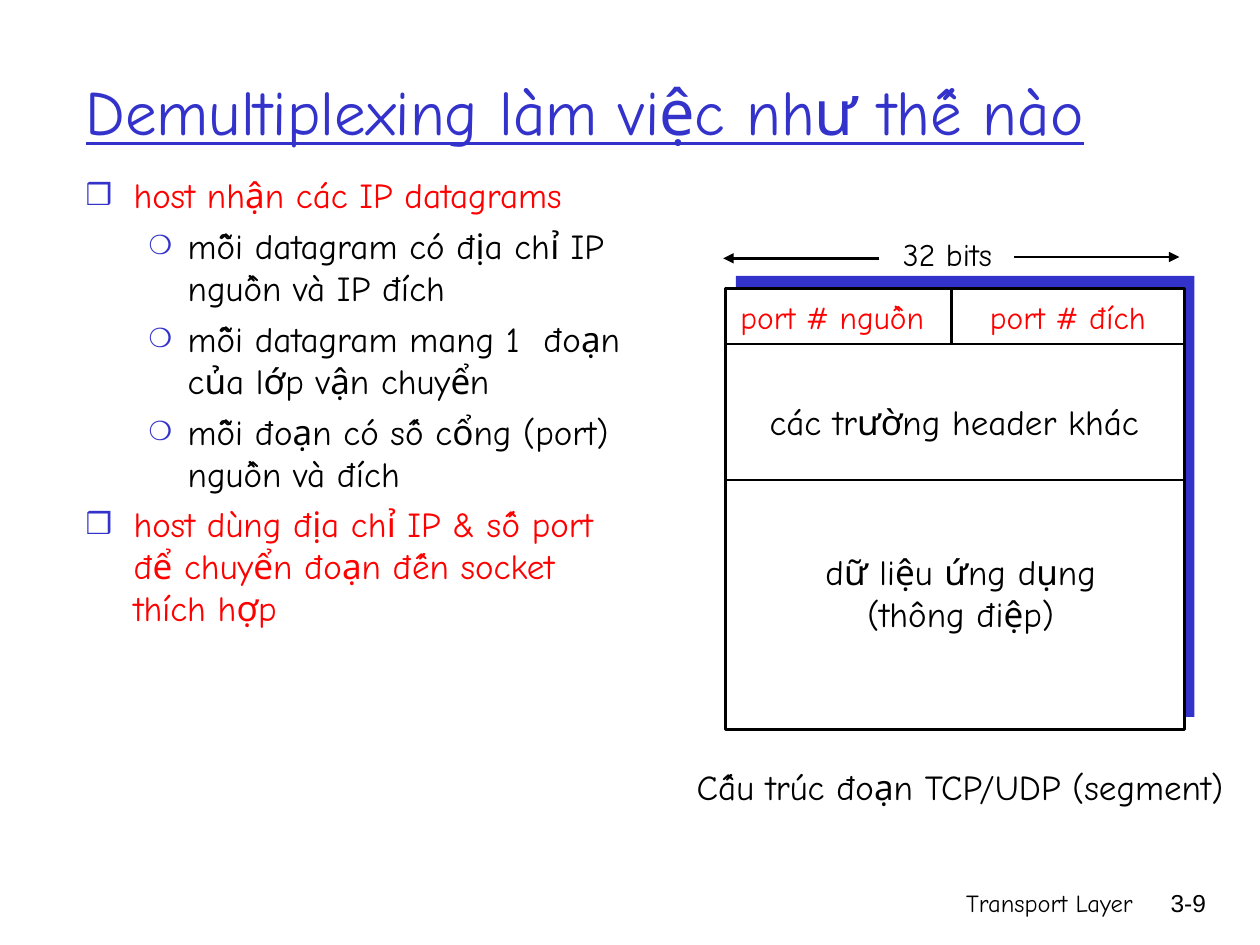
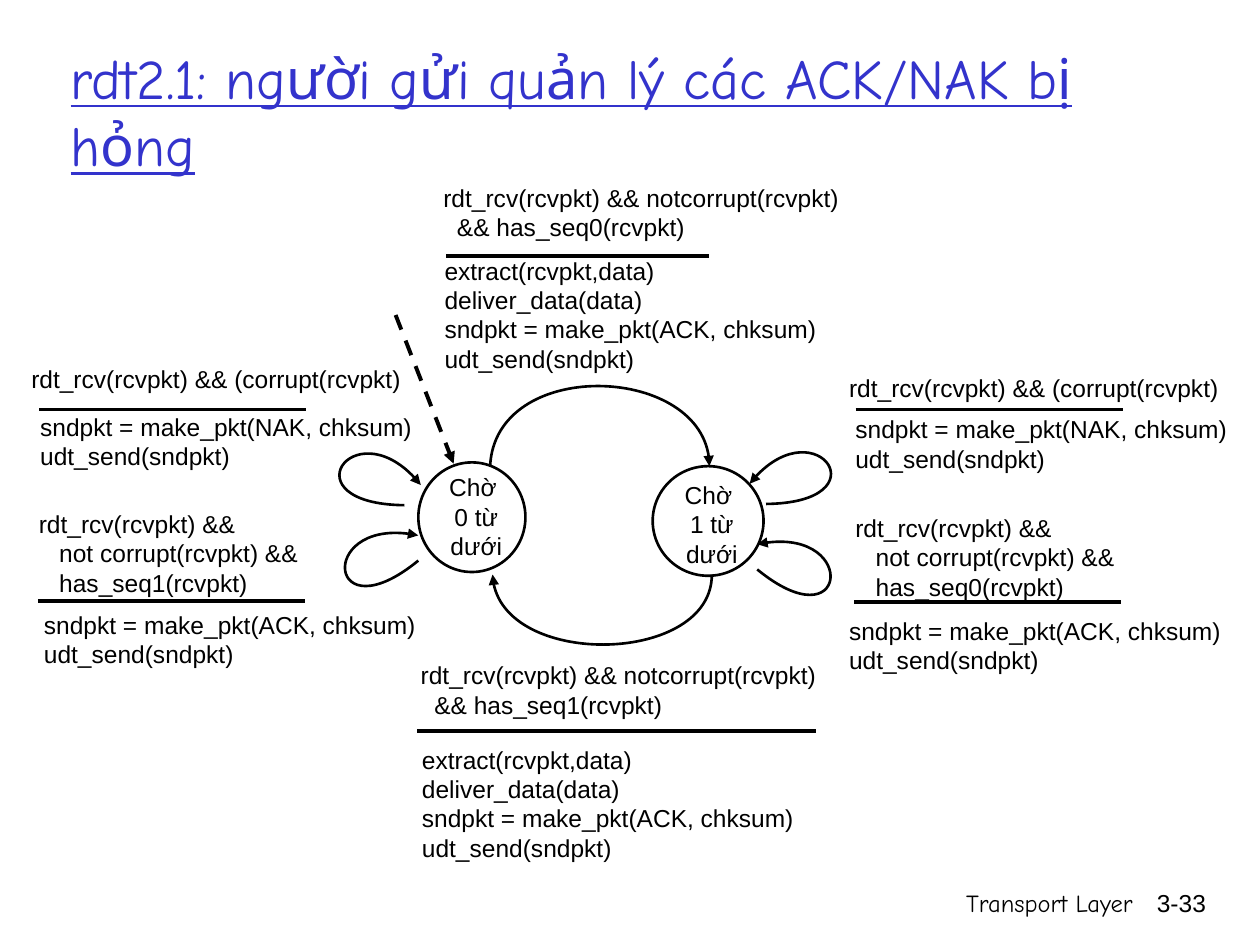
import pptx
import pptx.util
import pptx.dml.color
import pptx.enum.dml
import pptx.enum.shapes
import pptx.enum.text
import pptx.oxml
import pptx.oxml.ns

PX = 9144  # one px is a hundredth of an inch
BLACK = pptx.dml.color.RGBColor(0, 0, 0)
WHITE = pptx.dml.color.RGBColor(255, 255, 255)
BLUE = pptx.dml.color.RGBColor(0x33, 0x33, 0xCC)
RED = pptx.dml.color.RGBColor(255, 0, 0)
HAND_FONT = "Comic Neue"
PLAIN_FONT = "Arial"
THIN, THICK = 1.5, 2.25
ALIGN = pptx.enum.text.PP_ALIGN
ANCHOR = pptx.enum.text.MSO_ANCHOR
AUTO_SIZE = pptx.enum.text.MSO_AUTO_SIZE
PRESET = pptx.enum.shapes.MSO_SHAPE
qn = pptx.oxml.ns.qn

# Level: left margin and hanging indent in px, bullet, bullet size, colour
BULLET_LEVELS = [(38, -38, "❒", 85000, RED), (81, -31, "❍", 75000, BLACK)]

# Loops of a state on the right, as offsets from where they start
UPPER_LOOP = [(0, 0), (93, -1), (38, -80), (-13, -16)]
LOWER_LOOP = [(0, 0), (72, 59), (81, -37), (0, -20)]

NAK_CONDITION = ["rdt_rcv(rcvpkt) && (corrupt(rcvpkt)"]
NAK_ACTION = ["sndpkt = make_pkt(NAK, chksum)", "udt_send(sndpkt)"]
ACK_ACTION = ["sndpkt = make_pkt(ACK, chksum)", "udt_send(sndpkt)"]
DELIVER_ACTION = ["extract(rcvpkt,data)", "deliver_data(data)"] + ACK_ACTION


def repeat_condition(number):
    return ["rdt_rcv(rcvpkt) &&", "   not corrupt(rcvpkt) &&",
            f"   has_seq{number}(rcvpkt)"]


def expected_condition(number):
    return ["rdt_rcv(rcvpkt) && notcorrupt(rcvpkt)",
            f"  && has_seq{number}(rcvpkt)"]


# Rule (left, top, width), condition box and action box relative to it, texts
TRANSITIONS = [
    ((354, 203, 209), (-12, -63, 435, 63), (-11, -5, 380, 77),
     expected_condition(0), DELIVER_ACTION),
    ((331, 580, 317), (-7, -61, 392, 62), (-6, 6, 421, 109),
     expected_condition(1), DELIVER_ACTION),
    ((31, 325, 212), (-16, -41, 314, 67), (-9, -3, 331, 45),
     NAK_CONDITION, NAK_ACTION),
    ((679, 325, 212), (-15, -34, 314, 67), (-10, -1, 331, 45),
     NAK_CONDITION, NAK_ACTION),
    ((30, 477, 212), (-9, -78, 287, 67), (-5, 2, 322, 45),
     repeat_condition(1), ACK_ACTION),
    ((678, 478, 212), (-9, -76, 287, 67), (-14, 6, 322, 45),
     repeat_condition(0), ACK_ACTION),
]


def emu(box):
    return [value * PX for value in box]


def place(shape, box):
    shape.left, shape.top, shape.width, shape.height = emu(box)


def format_text(paragraphs, size, font_name, color, align=ALIGN.LEFT):
    for paragraph in paragraphs:
        paragraph.alignment = align
        for run in paragraph.runs:
            run.font.size = pptx.util.Pt(size)
            run.font.name = font_name
            run.font.color.rgb = color


def add_text(shapes, box, lines, size, font_name, color=BLACK,
             align=ALIGN.LEFT, wrap=True):
    shape = shapes.add_textbox(*emu(box))
    text_frame = shape.text_frame
    text_frame.text = "\n".join(lines)
    text_frame.word_wrap = wrap
    if not wrap:
        # Narrow side margins keep a label on one line in its tight box
        text_frame.margin_left = text_frame.margin_right = 4 * PX
        text_frame.auto_size = AUTO_SIZE.NONE
    format_text(text_frame.paragraphs, size, font_name, color, align)


def add_block(shapes, preset, box, fill, outlined=True):
    shape = shapes.add_shape(preset, *emu(box))
    shape.shadow.inherit = False
    shape.fill.solid()
    shape.fill.fore_color.rgb = fill
    if outlined:
        shape.line.color.rgb = BLACK
        shape.line.width = pptx.util.Pt(THIN)
    else:
        shape.line.fill.background()


def draw_stroke(shape, width, arrow, dashed=False):
    shape.line.color.rgb = BLACK
    shape.line.width = pptx.util.Pt(width)
    if dashed:
        shape.line.dash_style = pptx.enum.dml.MSO_LINE.DASH
    if arrow:
        namespace = pptx.oxml.ns.nsdecls("a")
        shape.element.spPr.find(qn("a:ln")).append(
            pptx.oxml.parse_xml(f'<a:tailEnd {namespace} type="triangle"/>'))


def add_line(shapes, start, end, width=THIN, arrow=False, dashed=False):
    connector = shapes.add_connector(
        pptx.enum.shapes.MSO_CONNECTOR.STRAIGHT, *emu(start + end))
    draw_stroke(connector, width, arrow, dashed)
    properties = connector.element.spPr
    properties.append(properties.makeelement(qn("a:effectLst"), {}))


def add_curve_arrow(shapes, points):
    """Draw a cubic curve: start, two control points, end."""
    builder = shapes.build_freeform(*points[0], scale=PX)
    builder.add_line_segments(points[1:], close=False)
    shape = builder.convert_to_shape()
    shape.shadow.inherit = False
    shape.fill.background()
    draw_stroke(shape, THIN, arrow=True)
    outline = shape.element.spPr.find(".//" + qn("a:path"))
    curve = outline.makeelement(qn("a:cubicBezTo"), {})
    for segment in outline.findall(qn("a:lnTo")):
        curve.append(segment[0])
        outline.remove(segment)
    outline.append(curve)


def add_loop(shapes, left, top, offsets, direction):
    add_curve_arrow(shapes, [(left + direction * x, top + y)
                             for x, y in offsets])


def add_title(slide, text, box, size):
    title = slide.shapes.title
    place(title, box)
    text_frame = title.text_frame
    text_frame.text = text
    text_frame.word_wrap = True
    text_frame.auto_size = AUTO_SIZE.NONE
    text_frame.vertical_anchor = ANCHOR.MIDDLE
    format_text(text_frame.paragraphs, size, HAND_FONT, BLUE)
    text_frame.paragraphs[0].runs[0].font.underline = True


def add_footer(slide, page):
    add_text(slide.shapes, (592, 700, 317, 50), ["Transport Layer"], 14,
             HAND_FONT, align=ALIGN.RIGHT)
    add_text(slide.shapes, (893, 700, 74, 50), [page], 14, PLAIN_FONT,
             align=ALIGN.RIGHT)


def set_bullet(paragraph, margin, indent, character, size):
    properties = paragraph._p.get_or_add_pPr()
    properties.set("marL", str(margin * PX))
    properties.set("indent", str(indent * PX))
    namespace = pptx.oxml.ns.nsdecls("a")
    for xml in (f'<a:buClr {namespace}><a:srgbClr val="{BLUE}"/></a:buClr>',
                f'<a:buSzPct {namespace} val="{size}"/>',
                f'<a:buFont {namespace} typeface="{PLAIN_FONT}"/>',
                f'<a:buChar {namespace} char="{character}"/>'):
        properties.append(pptx.oxml.parse_xml(xml))


def add_bullets(slide, box, items):
    body = slide.placeholders[1]
    place(body, box)
    text_frame = body.text_frame
    text_frame.text = "\n".join(text for level, text in items)
    text_frame.auto_size = AUTO_SIZE.NONE
    for index, paragraph in enumerate(text_frame.paragraphs):
        level = items[index][0]
        *bullet, color = BULLET_LEVELS[level]
        paragraph.level = level
        set_bullet(paragraph, *bullet)
        paragraph.space_before = pptx.util.Pt(5 if index else 0)
        format_text([paragraph], 20, HAND_FONT, color)


def add_segment_diagram(slide, box):
    shapes = slide.shapes
    left, top, width, height = box
    right = left + width

    # Segment frame over its offset backing
    add_block(shapes, PRESET.RECTANGLE, (left + 8, top - 10, width, height),
              BLUE, outlined=False)
    add_block(shapes, PRESET.RECTANGLE, box, WHITE)

    # Field dividers
    for divider in (top + 44, top + 152):
        add_line(shapes, (left, divider), (right, divider))
    add_line(shapes, (left + 179, top + 43), (left + 179, top))

    # Width marker
    add_line(shapes, (left + 229, top - 25), (right - 4, top - 25), arrow=True)
    add_line(shapes, (left + 122, top - 24), (left - 2, top - 24), arrow=True)

    # Labels, relative to the frame
    for label_box, lines, size, color in [
            ((2, 3, 165, 40), ["port # nguồn"], 18, RED),
            ((200, 3, 143, 40), ["port # đích"], 18, RED),
            ((131, -47, 90, 40), ["32 bits"], 18, BLACK),
            ((25, 84, 313, 44), ["các trường header khác"], 20, BLACK),
            ((69, 203, 235, 77), ["dữ liệu ứng dụng", "(thông điệp)"],
             20, BLACK),
            ((-35, 374, 442, 44), ["Cấu trúc đoạn TCP/UDP (segment)"],
             20, BLACK)]:
        x, y, label_width, label_height = label_box
        add_text(shapes, (left + x, top + y, label_width, label_height),
                 lines, size, HAND_FONT, color, ALIGN.CENTER, wrap=False)


def add_state(slide, box, number, text_offset):
    group = slide.shapes.add_group_shape()
    left, top = box[:2]
    add_block(group.shapes, PRESET.OVAL, box, WHITE)
    add_text(group.shapes,
             (left + text_offset[0], top + text_offset[1], 88, 67),
             ["Chờ ", f"{number} từ dưới"], 14, PLAIN_FONT,
             align=ALIGN.CENTER)


def add_transition(slide, rule, condition_box, action_box, condition, action):
    left, top, width = rule
    for (x, y, text_width, text_height), lines in (
            (condition_box, condition), (action_box, action)):
        add_text(slide.shapes, (left + x, top + y, text_width, text_height),
                 lines, 14, PLAIN_FONT)
    add_line(slide.shapes, (left, top), (left + width, top), THICK)


def build_demultiplexing_slide(presentation):
    slide = presentation.slides.add_slide(presentation.slide_layouts[1])
    add_footer(slide, "3-9")
    add_title(slide, "Demultiplexing làm việc như thế nào",
              (58, 25, 850, 125), 36)
    add_bullets(slide, (58, 133, 450, 417), [
        (0, "host nhận các IP datagrams"),
        (1, "mỗi datagram có địa chỉ IP nguồn và IP đích"),
        (1, "mỗi datagram mang 1  đoạn của lớp vận chuyển"),
        (1, "mỗi đoạn có số cổng (port) nguồn và đích"),
        (0, "host dùng địa chỉ IP & số port để chuyển đoạn đến socket "
            "thích hợp")])
    add_segment_diagram(slide, (576, 229, 364, 350))


def build_state_machine_slide(presentation):
    slide = presentation.slides.add_slide(presentation.slide_layouts[5])
    shapes = slide.shapes
    add_footer(slide, "3-33")
    add_title(slide, "rdt2.1: người gửi quản lý các ACK/NAK bị hỏng",
              (46, 25, 910, 125), 32)

    # States and the entry arrow
    add_state(slide, (332, 367, 85, 87), 0, (2, 3))
    add_state(slide, (518, 370, 88, 87), 1, (3, 6))
    add_line(shapes, (314, 250), (360, 368), THICK, arrow=True, dashed=True)

    # Arcs between the states
    add_curve_arrow(shapes, [(389, 370), (393, 284), (563, 289), (563, 370)])
    add_curve_arrow(shapes, [(565, 456), (565, 527), (394, 531), (391, 456)])

    # Loops on each state, mirrored on the left
    add_loop(shapes, 608, 400, UPPER_LOOP, 1)
    add_loop(shapes, 601, 452, LOWER_LOOP, 1)
    add_loop(shapes, 321, 401, UPPER_LOOP, -1)
    add_loop(shapes, 332, 445, LOWER_LOOP, -1)

    for transition in TRANSITIONS:
        add_transition(slide, *transition)


def main():
    presentation = pptx.Presentation()
    presentation.slide_width, presentation.slide_height = emu((1000, 750))
    build_demultiplexing_slide(presentation)
    build_state_machine_slide(presentation)
    presentation.save("out.pptx")


if __name__ == "__main__":
    main()
